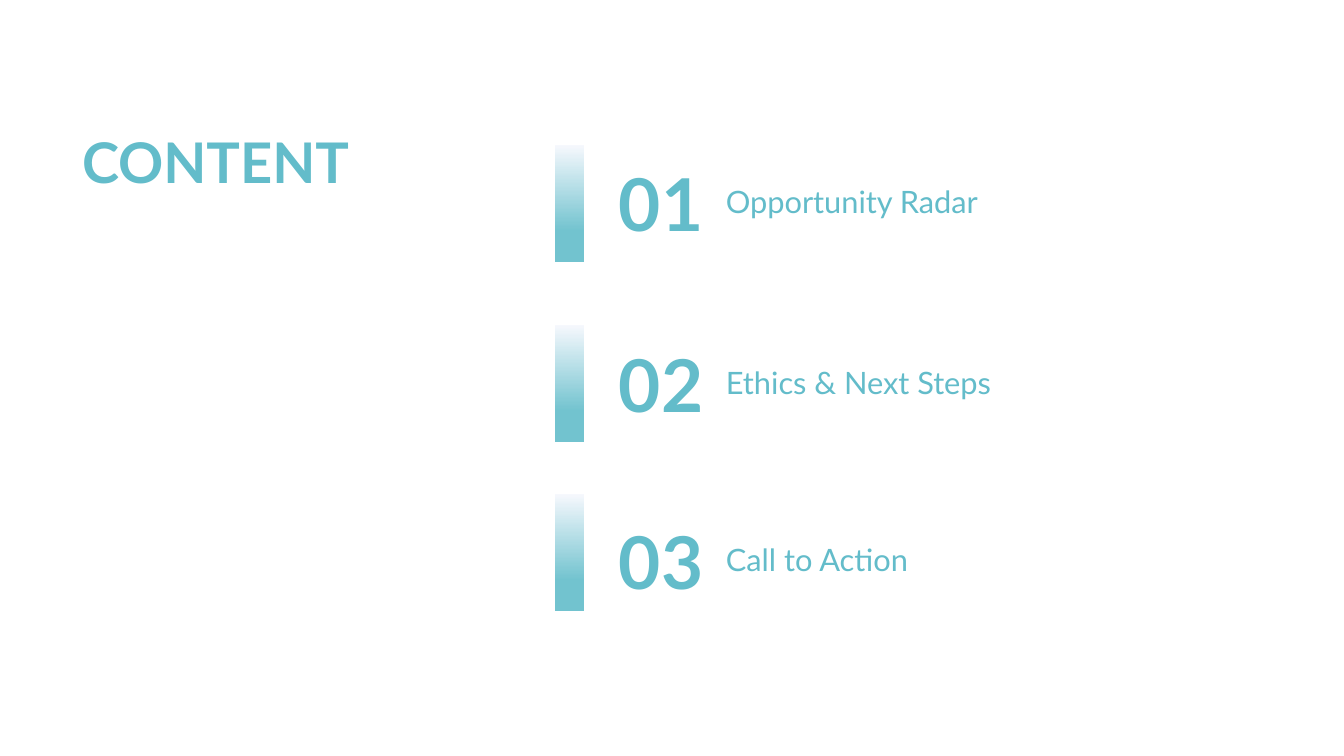
"""Builds a contents slide with three numbered, gradient-barred sections."""
from dataclasses import dataclass

from pptx import Presentation
from pptx.dml.color import RGBColor
from pptx.enum.shapes import MSO_SHAPE
from pptx.enum.text import MSO_ANCHOR, MSO_AUTO_SIZE, PP_ALIGN
from pptx.shapes.autoshape import Shape
from pptx.slide import Slide
from pptx.util import Emu, Pt

EMU_PER_PX = 914400 / 100.8


@dataclass(frozen=True)
class Theme:
    font: str = "Lato"
    text: RGBColor = RGBColor(0x63, 0xBC, 0xCA)
    bar_top: RGBColor = RGBColor(0xF6, 0xF8, 0xFD)
    bar_bottom: RGBColor = RGBColor(0x72, 0xC3, 0xCF)
    bar_fade_end: float = 0.74
    title_size: int = 40
    number_size: int = 52
    label_size: int = 22


@dataclass(frozen=True)
class Box:
    left: int
    top: int
    width: int
    height: int

    def emu(self) -> tuple[Emu, Emu, Emu, Emu]:
        return px(self.left), px(self.top), px(self.width), px(self.height)


@dataclass(frozen=True)
class Section:
    label: str
    bar_top: int
    number_top: int


THEME = Theme()
TITLE_BOX = Box(72, 122, 294, 58)
LABEL_DROP = 24
SECTIONS = (
    Section("Opportunity Radar", 145, 154),
    Section("Ethics & Next Steps", 325, 335),
    Section("Call to Action", 494, 512),
)


def px(length: int) -> Emu:
    return Emu(round(length * EMU_PER_PX))


def write_text(shape: Shape, text: str, size: int, bold: bool = False) -> None:
    frame = shape.text_frame
    frame.text = text
    frame.word_wrap = True
    frame.auto_size = MSO_AUTO_SIZE.NONE
    frame.vertical_anchor = MSO_ANCHOR.TOP
    paragraph = frame.paragraphs[0]
    paragraph.alignment = PP_ALIGN.LEFT
    paragraph.font.name = THEME.font
    paragraph.font.size = Pt(size)
    paragraph.font.bold = bold
    paragraph.font.color.rgb = THEME.text


def add_title(page: Slide, text: str) -> None:
    title = page.shapes.title
    title.left, title.top, title.width, title.height = TITLE_BOX.emu()
    write_text(title, text, THEME.title_size, bold=True)


def add_bar(page: Slide, box: Box) -> None:
    bar = page.shapes.add_shape(MSO_SHAPE.RECTANGLE, *box.emu())
    bar.shadow.inherit = False
    bar.line.fill.background()
    bar.fill.gradient()
    bar.fill.gradient_angle = 270
    first, last = bar.fill.gradient_stops
    first.position, last.position = 0, THEME.bar_fade_end
    first.color.rgb, last.color.rgb = THEME.bar_top, THEME.bar_bottom


def add_section(page: Slide, number: int, section: Section) -> None:
    add_bar(page, Box(555, section.bar_top, 29, 117))
    number_box = Box(609, section.number_top, 188, 89)
    label_box = Box(716, section.number_top + LABEL_DROP, 484, 65)
    write_text(page.shapes.add_textbox(*number_box.emu()), f"{number:02}", THEME.number_size, bold=True)
    write_text(page.shapes.add_textbox(*label_box.emu()), section.label, THEME.label_size)


def main() -> None:
    deck = Presentation()
    deck.slide_width, deck.slide_height = px(1344), px(756)
    page = deck.slides.add_slide(deck.slide_layouts.get_by_name("Title Only"))
    add_title(page, "CONTENT")
    for number, section in enumerate(SECTIONS, start=1):
        add_section(page, number, section)
    deck.save("out.pptx")


if __name__ == "__main__":
    main()
